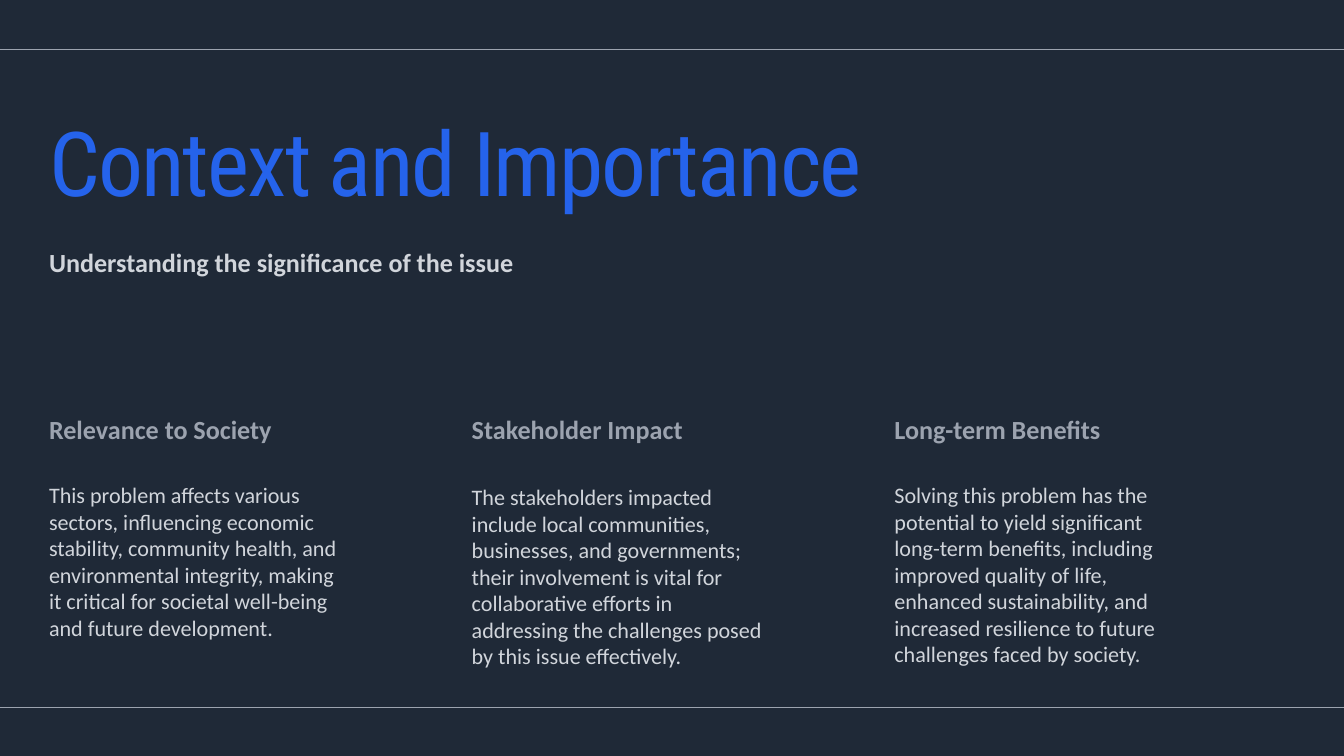
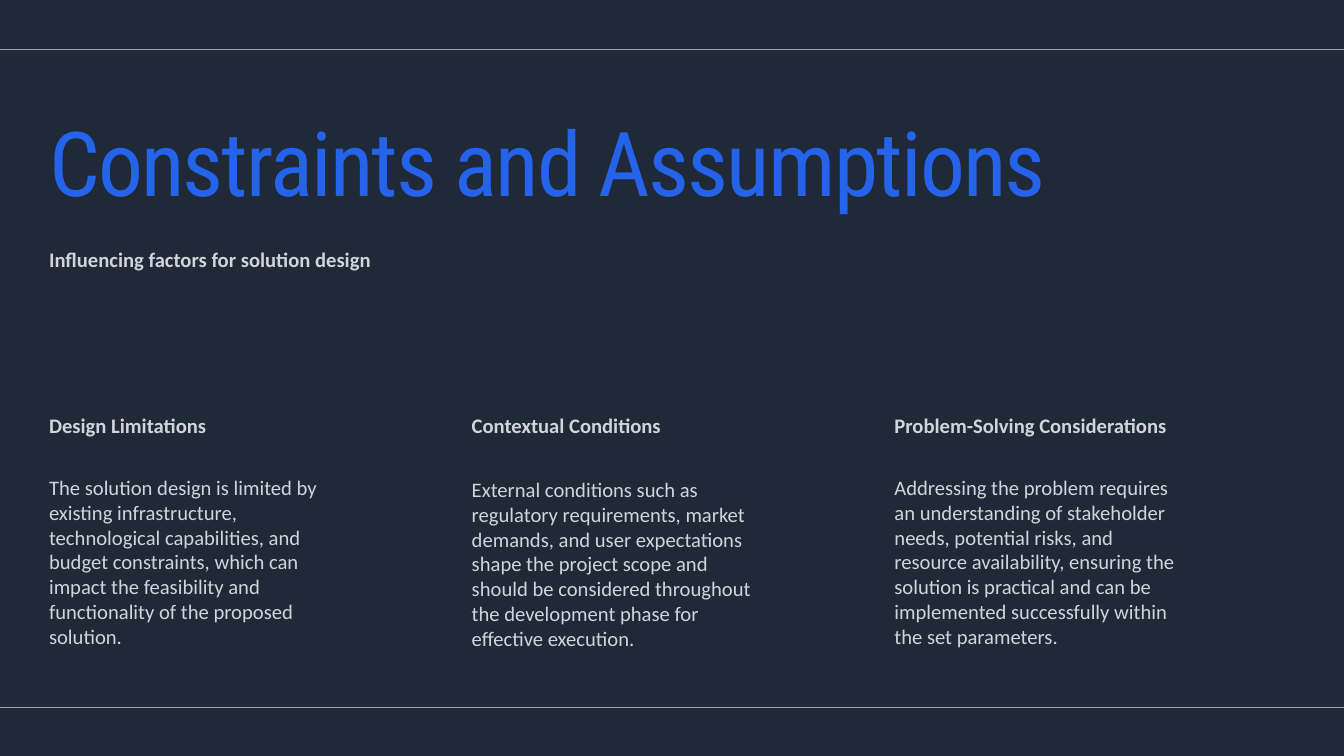
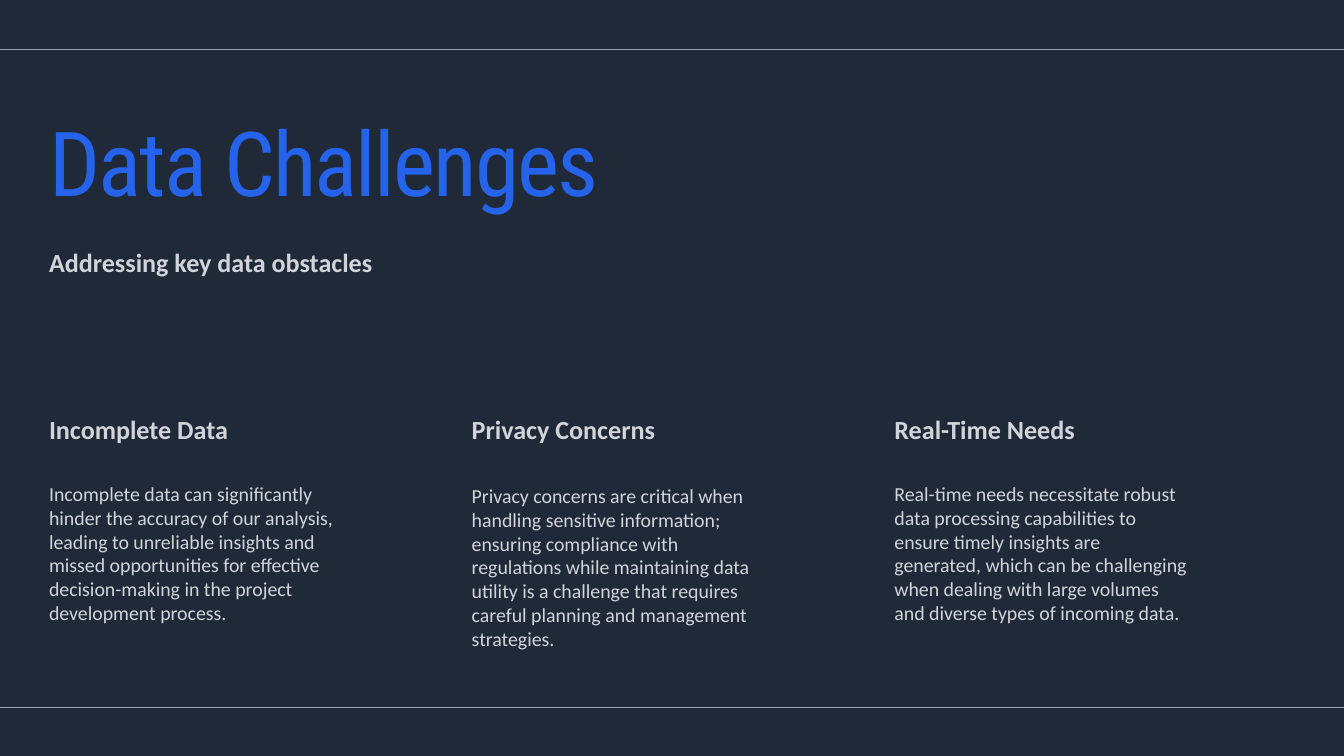
import dataclasses

import lxml.etree
import pptx
import pptx.dml.color
import pptx.enum.shapes
import pptx.enum.text
import pptx.oxml.ns
import pptx.util

SLIDE_WIDTH = pptx.util.Inches(20)
SLIDE_HEIGHT = pptx.util.Inches(11.25)

BACKGROUND = "1F2937"
ACCENT = "2563EB"
LIGHT = "D1D5DB"
MUTED = "9CA3AF"

TITLE_FONT = "Roboto Condensed"
TEXT_FONT = "Calibri"
TITLE_SIZE = 96
LEADING = 1.2

# Horizontal measures are percent of the slide width, vertical ones of its height.
MARGIN = 3.65
CONTENT_WIDTH = 100 - 2 * MARGIN
COLUMN_PITCH = 31.45
COLUMN_WIDTH = 21.95
RULE_ROWS = (6.58, 93.6)
TITLE_ROW = 16.53
TITLE_HEIGHT = 12.89
SUBTITLE_ROW = 32.62
HEADING_ROW = 54.67
BODY_GAP = 4.89
MIDDLE_DROP = 0.27


@dataclasses.dataclass(frozen=True)
class Column:
    heading: str
    body: str
    body_lines: int = 7


@dataclasses.dataclass(frozen=True)
class Topic:
    title: str
    subtitle: str
    columns: tuple[Column, ...]
    heading_size: float
    body_size: float
    heading_color: str = LIGHT


TOPICS = (
    Topic(
        "Context and Importance",
        "Understanding the significance of the issue",
        (
            Column(
                "Relevance to Society",
                "This problem affects various sectors, influencing economic stability, "
                "community health, and environmental integrity, making it critical for "
                "societal well-being and future development.",
            ),
            Column(
                "Stakeholder Impact",
                "The stakeholders impacted include local communities, businesses, and "
                "governments; their involvement is vital for collaborative efforts in "
                "addressing the challenges posed by this issue effectively.",
            ),
            Column(
                "Long-term Benefits",
                "Solving this problem has the potential to yield significant long-term "
                "benefits, including improved quality of life, enhanced sustainability, "
                "and increased resilience to future challenges faced by society.",
            ),
        ),
        heading_size=28,
        body_size=23.7,
        heading_color=MUTED,
    ),
    Topic(
        "Constraints and Assumptions",
        "Influencing factors for solution design",
        (
            Column(
                "Design Limitations",
                "The solution design is limited by existing infrastructure, technological "
                "capabilities, and budget constraints, which can impact the feasibility "
                "and functionality of the proposed solution.",
            ),
            Column(
                "Contextual Conditions",
                "External conditions such as regulatory requirements, market demands, and "
                "user expectations shape the project scope and should be considered "
                "throughout the development phase for effective execution.",
            ),
            Column(
                "Problem-Solving Considerations",
                "Addressing the problem requires an understanding of stakeholder needs, "
                "potential risks, and resource availability, ensuring the solution is "
                "practical and can be implemented successfully within the set parameters.",
            ),
        ),
        heading_size=22.1,
        body_size=22.1,
    ),
    Topic(
        "Data Challenges",
        "Addressing key data obstacles",
        (
            Column(
                "Incomplete Data",
                "Incomplete data can significantly hinder the accuracy of our analysis, "
                "leading to unreliable insights and missed opportunities for effective "
                "decision-making in the project development process.",
                body_lines=6,
            ),
            Column(
                "Privacy Concerns",
                "Privacy concerns are critical when handling sensitive information; "
                "ensuring compliance with regulations while maintaining data utility is a "
                "challenge that requires careful planning and management strategies.",
            ),
            Column(
                "Real-Time Needs",
                "Real-time needs necessitate robust data processing capabilities to ensure "
                "timely insights are generated, which can be challenging when dealing with "
                "large volumes and diverse types of incoming data.",
            ),
        ),
        heading_size=28,
        body_size=21.25,
    ),
)


def across(percent: float) -> int:
    return round(SLIDE_WIDTH * percent / 100)


def down(percent: float) -> int:
    return round(SLIDE_HEIGHT * percent / 100)


def text_height(size: float, lines: int = 1) -> int:
    return pptx.util.Pt(size * LEADING * lines)


def color(hex_value: str) -> pptx.dml.color.RGBColor:
    return pptx.dml.color.RGBColor.from_string(hex_value)


def write(
    shape,
    text: str,
    *,
    size: float,
    fill: str = LIGHT,
    font: str = TEXT_FONT,
    bold: bool = False,
    leading: float = LEADING,
    tracking: float = 0,
) -> None:
    """Fill a shape with one left-aligned paragraph set from its top edge."""
    frame = shape.text_frame
    frame.margin_left = frame.margin_right = frame.margin_top = frame.margin_bottom = 0
    frame.word_wrap = True
    frame.auto_size = pptx.enum.text.MSO_AUTO_SIZE.SHAPE_TO_FIT_TEXT
    frame.vertical_anchor = pptx.enum.text.MSO_ANCHOR.TOP

    paragraph = frame.paragraphs[0]
    paragraph.alignment = pptx.enum.text.PP_ALIGN.LEFT
    paragraph.line_spacing = pptx.util.Pt(round(size * leading, 1))
    paragraph.space_before = pptx.util.Pt(0)
    run = paragraph.add_run()
    run.text = text
    run.font.name = font
    run.font.size = pptx.util.Pt(size)
    run.font.bold = bold
    run.font.color.rgb = color(fill)
    if tracking:
        run._r.get_or_add_rPr().set("spc", str(round(tracking * 100)))


def add_rule(slide, row: float) -> None:
    rule = slide.shapes.add_connector(
        pptx.enum.shapes.MSO_CONNECTOR.STRAIGHT, 0, down(row), SLIDE_WIDTH, down(row)
    )
    rule.line.color.rgb = color(MUTED)
    rule.line.width = pptx.util.Pt(1.5)
    lxml.etree.SubElement(rule._element.spPr, pptx.oxml.ns.qn("a:effectLst"))


def add_header(slide, topic: Topic) -> None:
    title = slide.shapes.title
    title.left, title.top = across(MARGIN), down(TITLE_ROW)
    title.width, title.height = across(CONTENT_WIDTH), down(TITLE_HEIGHT)
    write(title, topic.title, size=TITLE_SIZE, fill=ACCENT, font=TITLE_FONT,
          leading=1, tracking=-1.9)
    subtitle = slide.shapes.add_textbox(
        across(MARGIN), down(SUBTITLE_ROW),
        across(CONTENT_WIDTH), text_height(topic.heading_size),
    )
    write(subtitle, topic.subtitle, size=topic.heading_size, bold=True)


def add_column(slide, topic: Topic, index: int) -> None:
    column = topic.columns[index]
    left, width = across(MARGIN + index * COLUMN_PITCH), across(COLUMN_WIDTH)
    heading_height = text_height(topic.heading_size)
    body_top = down(HEADING_ROW + BODY_GAP) + heading_height
    if index == 1:
        body_top += down(MIDDLE_DROP)

    group = slide.shapes.add_group_shape()
    heading = group.shapes.add_textbox(left, down(HEADING_ROW), width, heading_height)
    write(heading, column.heading, size=topic.heading_size,
          fill=topic.heading_color, bold=True)
    body = group.shapes.add_textbox(
        left, body_top, width, text_height(topic.body_size, column.body_lines)
    )
    write(body, column.body, size=topic.body_size)


def main() -> None:
    presentation = pptx.Presentation()
    presentation.slide_width = SLIDE_WIDTH
    presentation.slide_height = SLIDE_HEIGHT
    background = presentation.slide_master.background.fill
    background.solid()
    background.fore_color.rgb = color(BACKGROUND)
    title_only = presentation.slide_layouts.get_by_name("Title Only")

    for topic in TOPICS:
        slide = presentation.slides.add_slide(title_only)
        add_header(slide, topic)
        for index in range(len(topic.columns)):
            add_column(slide, topic, index)
        for row in RULE_ROWS:
            add_rule(slide, row)

    presentation.save("out.pptx")


if __name__ == "__main__":
    main()
